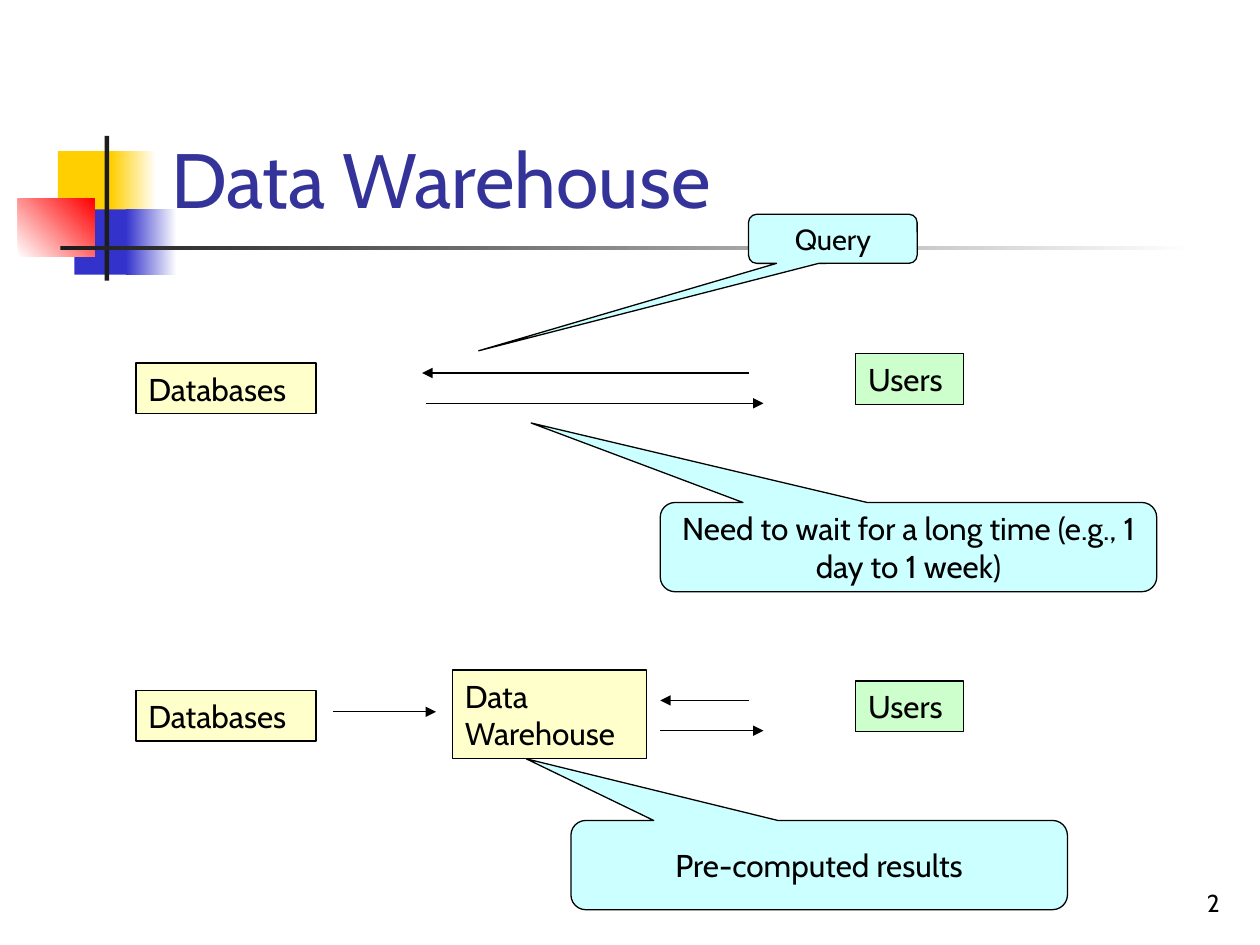
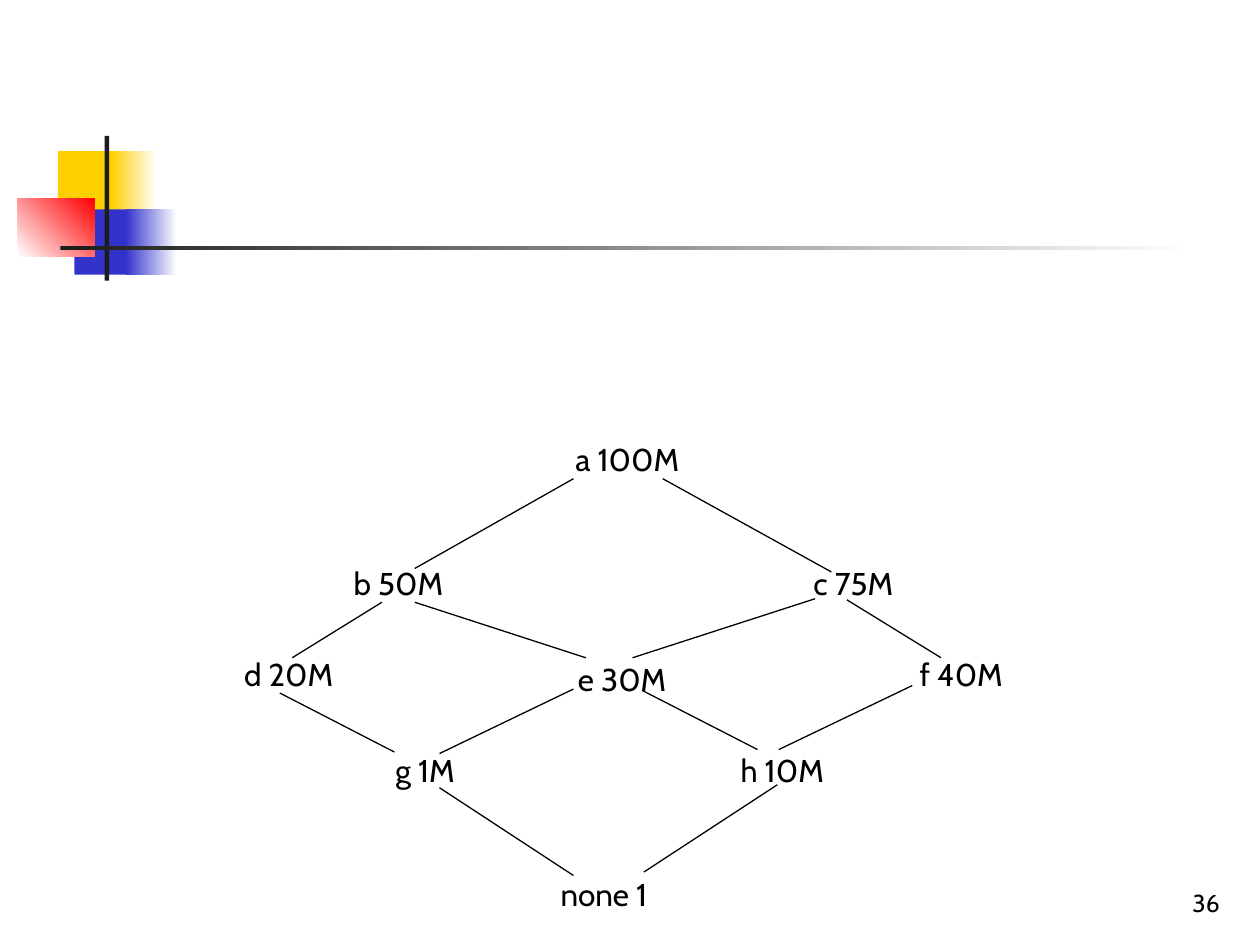
from pptx import Presentation
from pptx import util as u
from pptx.dml.color import RGBColor
from pptx.enum import shapes, text
from pptx.oxml import ns
from lxml import etree

BLACK = RGBColor(0x00, 0x00, 0x00)
WHITE = RGBColor(0xFF, 0xFF, 0xFF)
CHARCOAL = RGBColor(0x1C, 0x1C, 0x1C)
GOLD = RGBColor(0xFF, 0xCF, 0x01)
BLUE = RGBColor(0x33, 0x33, 0xCC)
RED = RGBColor(0xFF, 0x00, 0x00)
NAVY = RGBColor(0x33, 0x33, 0x99)
CREAM = RGBColor(0xFF, 0xFF, 0xCC)
MINT = RGBColor(0xCC, 0xFF, 0xCC)
AQUA = RGBColor(0xCC, 0xFF, 0xFF)

MASTER_BLOCKS = [
    ((1.17, 3.05, 1.22, 1.32), (GOLD,), 0),
    ((2.24, 3.05, 0.91, 1.32), (GOLD, WHITE), 0),
    ((1.5, 4.22, 1.17, 1.32), (BLUE,), 0),
    ((2.54, 4.22, 1.02, 1.32), (BLUE, WHITE), 0),
    ((0.36, 4.01, 1.55, 1.17), (WHITE, RED), 45),
    ((2.11, 2.74, 0.09, 2.92), (CHARCOAL,), 0),
    ((1.22, 4.95, 22.86, 0.09), (CHARCOAL, WHITE), 0),
]

NODES = [
    ("a 100M", 11.35, 8.74, 2.69),
    ("b 50M", 6.88, 11.25, 2.34),
    ("c 75M", 16.15, 11.25, 2.29),
    ("d 20M", 4.67, 13.08, 2.36),
    ("e 30M", 11.4, 13.18, 2.34),
    ("f 40M", 18.29, 13.08, 2.18),
    ("g 1M", 7.72, 15.01, 2.01),
    ("h 10M", 14.68, 15.01, 2.36),
    ("none 1", 11.05, 17.5, 2.57),
]

EDGES = [
    (11.56, 9.65, 8.36, 11.46),
    (13.36, 9.65, 16.76, 11.53),
    (7.7, 12.14, 5.89, 13.26),
    (8.36, 12.14, 11.81, 13.26),
    (16.43, 12.07, 12.75, 13.26),
    (17.07, 12.09, 18.97, 13.26),
    (5.64, 13.97, 7.95, 15.16),
    (11.56, 13.89, 8.86, 15.19),
    (12.95, 13.92, 15.27, 15.11),
    (18.39, 13.82, 15.7, 15.11),
    (8.86, 15.88, 11.56, 17.65),
    (15.67, 15.82, 12.98, 17.58),
]

LABEL_HEIGHT = 1.02
ROW_GAP = 6.6


def cm(*lengths):
    return [u.Cm(length) for length in lengths]


def write(frame, content, size=18, color=BLACK, font="Cabin",
          align=text.PP_ALIGN.LEFT, anchor=text.MSO_ANCHOR.TOP):
    frame.word_wrap = True
    frame.vertical_anchor = anchor
    frame.margin_left = frame.margin_right = u.Cm(0.25)
    frame.margin_top = frame.margin_bottom = u.Cm(0.13)
    for index, line in enumerate(content.split("\n")):
        paragraph = frame.add_paragraph() if index else frame.paragraphs[0]
        paragraph.alignment = align
        run = paragraph.add_run()
        run.text = line
        run.font.name = font
        run.font.size = u.Pt(size)
        run.font.color.rgb = color


class Deck:
    outline = u.Pt(0.75)

    def __init__(self):
        self.show = Presentation()
        self.show.slide_width, self.show.slide_height = cm(25.4, 19.05)
        self.slide = None

    def new_slide(self, number, title=None):
        self.slide = self.show.slides.add_slide(self.show.slide_layouts[6])
        for place, colors, angle in MASTER_BLOCKS:
            self.block(place, colors, angle)
        self.label((19.56, 17.35, 5.28, 1.27), number, size=14,
                   align=text.PP_ALIGN.RIGHT, anchor=text.MSO_ANCHOR.BOTTOM)
        if title:
            self.label((3.2, 0.58, 21.64, 4.06), title, size=44, color=NAVY,
                       anchor=text.MSO_ANCHOR.BOTTOM)

    def block(self, place, colors, angle=0, kind=shapes.MSO_SHAPE.RECTANGLE):
        block = self.slide.shapes.add_shape(kind, *cm(*place))
        block.shadow.inherit = False
        block.line.fill.background()
        if len(colors) == 1:
            block.fill.solid()
            block.fill.fore_color.rgb = colors[0]
        else:
            block.fill.gradient()
            block.fill.gradient_angle = angle
            for stop, color in zip(block.fill.gradient_stops, colors):
                stop.color.rgb = color
        return block

    def label(self, place, content, **style):
        write(self.slide.shapes.add_textbox(*cm(*place)).text_frame, content, **style)

    def box(self, place, content, color, kind=shapes.MSO_SHAPE.RECTANGLE, **style):
        box = self.block(place, (color,), kind=kind)
        box.line.color.rgb = BLACK
        box.line.width = self.outline
        write(box.text_frame, content, **style)
        return box

    def callout(self, place, content, tip, **style):
        callout = self.box(place, content, AQUA,
                           kind=shapes.MSO_SHAPE.ROUNDED_RECTANGULAR_CALLOUT,
                           align=text.PP_ALIGN.CENTER,
                           anchor=text.MSO_ANCHOR.MIDDLE, **style)
        callout.adjustments[0], callout.adjustments[1] = tip

    def line(self, ends, arrow=False):
        line = self.slide.shapes.add_connector(shapes.MSO_CONNECTOR.STRAIGHT, *cm(*ends))
        line.line.color.rgb = BLACK
        line.line.width = self.outline
        properties = line._element.spPr
        if arrow:
            stroke = properties.find(ns.qn("a:ln"))
            etree.SubElement(stroke, ns.qn("a:tailEnd"), type="triangle")
        etree.SubElement(properties, ns.qn("a:effectLst"))


def warehouse_slide(deck):
    deck.new_slide("2", "Data Warehouse")
    for row, (query_end, answer_start) in enumerate([(8.51, 8.59), (13.31, 13.31)]):
        drop = row * ROW_GAP
        deck.box((2.74, 7.32 + drop, 3.63, LABEL_HEIGHT), "Databases", CREAM)
        deck.box((17.25, 7.13 + drop, 2.18, LABEL_HEIGHT), "Users", MINT)
        deck.line((15.09, 7.52 + drop, query_end, 7.52 + drop), arrow=True)
        deck.line((answer_start, 8.13 + drop, 15.39, 8.13 + drop), arrow=True)
    deck.box((9.12, 13.51, 3.91, 1.78), "Data\nWarehouse", CREAM)
    deck.line((6.71, 14.35, 8.79, 14.35), arrow=True)
    deck.callout((13.31, 10.13, 10.01, 1.8),
                 "Need to wait for a long time (e.g., 1 day to 1 week)", (-0.76, -1.39))
    deck.callout((11.51, 16.54, 10.01, 1.8), "Pre-computed results", (-0.59, -1.19))
    deck.callout((15.09, 4.32, 3.4, 0.99), "Query", (-2.1, 2.28), size=16.6)


def lattice_slide(deck):
    deck.new_slide("36")
    for name, left, top, width in NODES:
        deck.label((left, top, width, LABEL_HEIGHT), name)
    for ends in EDGES:
        deck.line(ends)


def main():
    deck = Deck()
    warehouse_slide(deck)
    lattice_slide(deck)
    deck.show.save("out.pptx")


if __name__ == "__main__":
    main()
